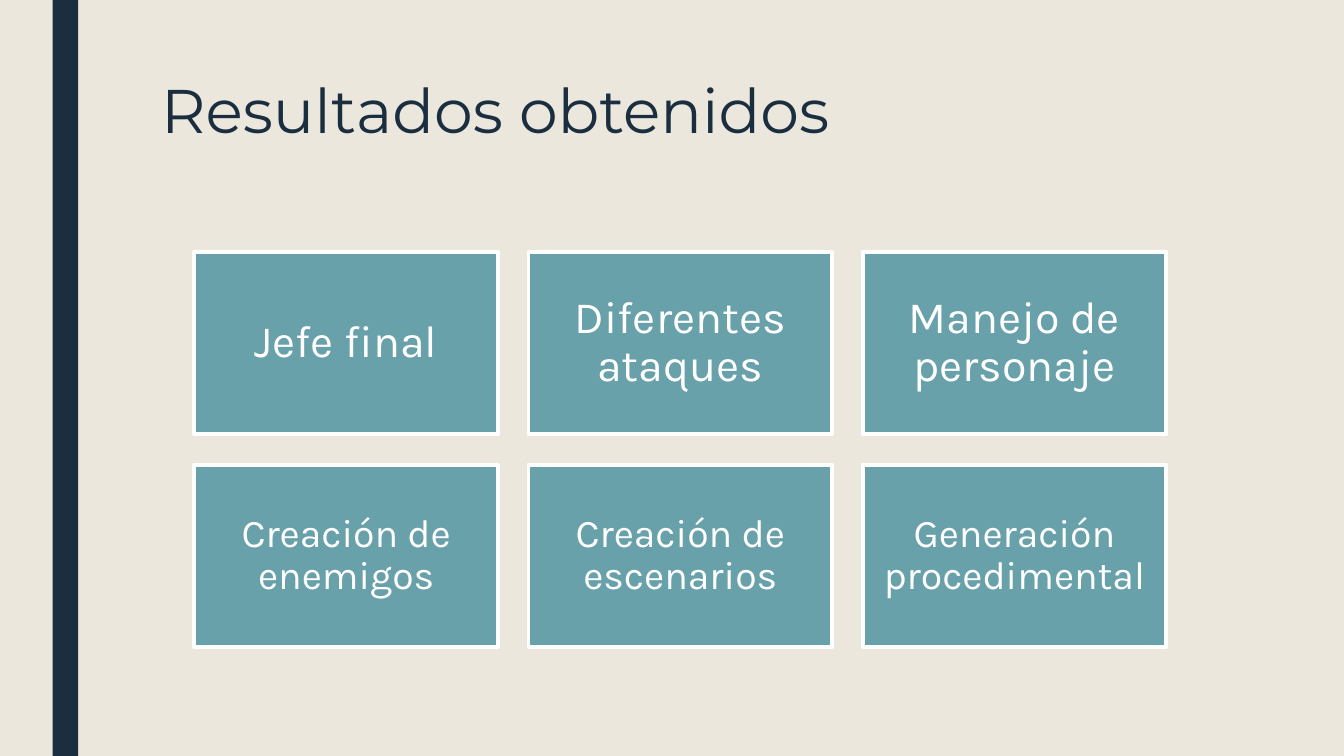
"""Build the slide of results obtained: a title over a grid of six tiles."""
from pptx import Presentation
from pptx.dml.color import RGBColor
from pptx.enum.shapes import MSO_SHAPE as Shape
from pptx.enum.text import MSO_ANCHOR as Anchor, MSO_AUTO_SIZE as AutoSize, PP_ALIGN as Align
from pptx.util import Cm, Pt

TITLE = "Resultados obtenidos"
ROWS = [
    (32, ["Jefe final", "Diferentes ataques", "Manejo de personaje"]),
    (28, ["Creación de enemigos", "Creación de escenarios", "Generación procedimental"]),
]
NAVY, TEAL, CREAM, WHITE = "1A2E40", "69A1AB", "EBE7DD", "FFFFFF"
WIDTH, HEIGHT = 33.87, 19.05
GRID_LEFT, GRID_TOP = 4.9, 6.35
TILE_WIDTH, TILE_HEIGHT, GAP = 7.65, 4.59, 0.77


def paint(target, color):
    target.solid()
    target.fore_color.rgb = RGBColor.from_string(color)


def add_box(page, left, top, width, height, color):
    box = page.shapes.add_shape(Shape.RECTANGLE, Cm(left), Cm(top), Cm(width), Cm(height))
    box.shadow.inherit = False
    paint(box.fill, color)
    box.line.fill.background()
    return box


def write(box, text, *, font, size, color, align, anchor, spacing, inset):
    frame = box.text_frame
    frame.word_wrap = True
    frame.auto_size = AutoSize.NONE
    frame.vertical_anchor = anchor
    frame.margin_left = frame.margin_right = Cm(inset[0])
    frame.margin_top = frame.margin_bottom = Cm(inset[1])
    para = frame.paragraphs[0]
    para.alignment, para.line_spacing = align, spacing
    span = para.add_run()
    span.text = text
    span.font.name, span.font.size = font, Pt(size)
    paint(span.font.fill, color)


def main():
    deck = Presentation()
    deck.slide_width, deck.slide_height = Cm(WIDTH), Cm(HEIGHT)
    page = deck.slides.add_slide(deck.slide_layouts[5])
    paint(page.background.fill, CREAM)
    add_box(page, 1.33, 0, 0.64, HEIGHT, NAVY)

    title = page.shapes.title
    title.left, title.top, title.width, title.height = Cm(3.81), Cm(1.9), Cm(26.67), Cm(4.12)
    write(title, TITLE, font="Montserrat", size=44, color=NAVY, align=Align.LEFT,
          anchor=Anchor.TOP, spacing=0.89, inset=(0.25, 0.13))

    for row, (size, labels) in enumerate(ROWS):
        for column, label in enumerate(labels):
            left = GRID_LEFT + column * (TILE_WIDTH + GAP)
            top = GRID_TOP + row * (TILE_HEIGHT + GAP)
            tile = add_box(page, left, top, TILE_WIDTH, TILE_HEIGHT, TEAL)
            paint(tile.line.fill, WHITE)
            tile.line.width = Pt(2.75)
            write(tile, label, font="Karla", size=size, color=WHITE, align=Align.CENTER,
                  anchor=Anchor.MIDDLE, spacing=0.9, inset=(0.33, 0.33))

    deck.save("out.pptx")


if __name__ == "__main__":
    main()
